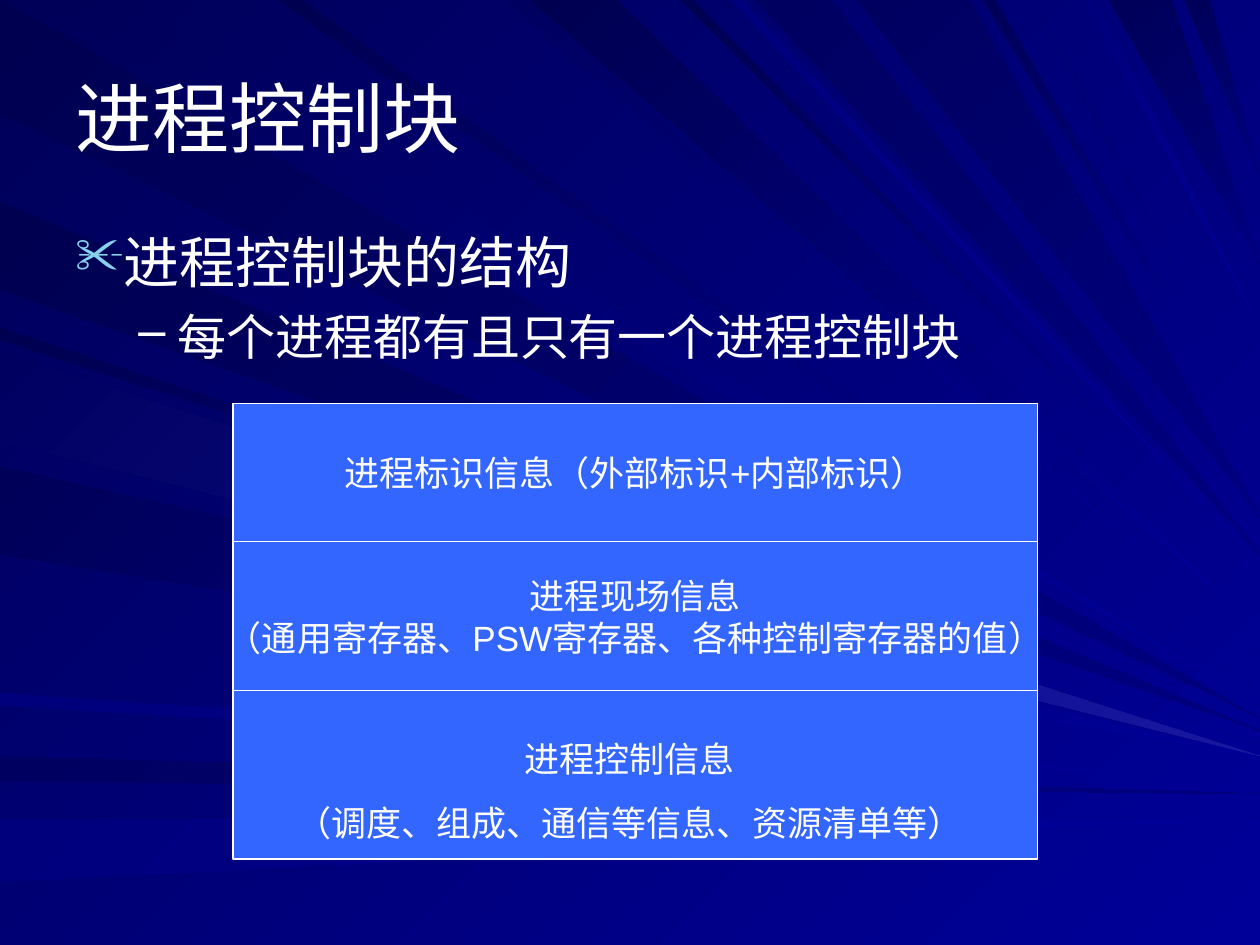
from lxml import etree
from pptx import Presentation, util as u
from pptx.dml.color import RGBColor
from pptx.enum import shapes, text
from pptx.oxml.ns import qn

FONT = "Arial"
COLOURS = {"white": "FFFFFF", "panel": "3366FF", "bullet": "86D1EC",
           "dark": "000058", "blue": "000099", "night": "000051",
           "dusk": "000061", "haze": "00007D", "navy": "000080", "glow": "1717A2"}
INSETS = {"margin_left": u.Cm(0.25), "margin_right": u.Cm(0.25),
          "margin_top": u.Cm(0.13), "margin_bottom": u.Cm(0.13)}

# Light rays by the page edge they leave: first colour, last colour,
# start and end on that edge, and height of the tip on the right edge,
# all in hundredths of the page width
RAYS = {
    "left": [
        ("night", "navy", 0, 9, 57), ("dusk", "navy", 60, 62, 63),
        ("haze", "blue", 65, 70, 65), ("night", "blue", 26, 27, 59),
        ("night", "navy", 16, 23, 58.5), ("dusk", "blue", 28, 34, 60),
        ("dark", "blue", 37, 44, 60.5), ("haze", "blue", 55, 56, 62),
        ("dusk", "glow", 28, 35, 60.5),
    ],
    "top": [
        ("dark", "blue", 3, 10, 56), ("night", "blue", 22.5, 24.5, 55),
        ("dusk", "blue", 40, 41.5, 52), ("night", "blue", 42.5, 49, 49.5),
        ("night", "blue", 54, 55, 46), ("haze", "blue", 58, 59, 45),
        ("dusk", "navy", 60.5, 66, 44.5), ("dusk", "navy", 68.5, 77, 41),
        ("dark", "blue", 78.5, 79, 36), ("dusk", "blue", 81.5, 82.5, 33.5),
        ("haze", "blue", 86.5, 87, 25.5), ("dark", "navy", 88.5, 93, 21),
        ("dark", "navy", 94, 96.5, 14),
    ],
}


def rgb(name):
    return RGBColor.from_string(COLOURS[name])


def set_all(target, values):
    for name, value in values.items():
        setattr(target, name, value)


def paint(fill, first, last):
    """Fill with a gradient that runs from upper left to lower right."""
    fill.gradient()
    fill.gradient_angle = 315
    for stop, colour in zip(fill.gradient_stops, (first, last)):
        stop.color.rgb = rgb(colour)


def add_span(para, words, size):
    span = para.add_run()
    span.text = words
    set_all(span.font, {"name": FONT, "size": u.Pt(size)})
    span.font.color.rgb = rgb("white")


def add_bullet(para, mark, colour, percent, left, hanging):
    props = para._p.get_or_add_pPr()
    props.set("marL", str(left))
    props.set("indent", str(-hanging))
    tint = etree.SubElement(props, qn("a:buClr"))
    etree.SubElement(tint, qn("a:srgbClr"), val=COLOURS[colour])
    etree.SubElement(props, qn("a:buSzPct"), val=str(percent * 1000))
    etree.SubElement(props, qn("a:buChar"), char=mark)


def add_text_box(page, box, anchor=text.MSO_ANCHOR.TOP):
    frame = page.shapes.add_textbox(*box).text_frame
    set_all(frame, {"word_wrap": True, "vertical_anchor": anchor, **INSETS})
    return frame


def add_centred_lines(frame, lines, gap=0):
    for index, words in enumerate(lines):
        para = frame.paragraphs[0] if index == 0 else frame.add_paragraph()
        para.alignment = text.PP_ALIGN.CENTER
        if index and gap:
            para.space_before = u.Pt(gap)
        add_span(para, words, 20)


def add_backdrop(page, box):
    left, top, width, _ = box
    paint(page.background.fill, "dark", "blue")
    group = page.shapes.add_group_shape()
    for edge, rays in RAYS.items():
        for first, last, start, end, tip in rays:
            base = [(0, start), (0, end)] if edge == "left" else [(start, 0), (end, 0)]
            outline = group.shapes.build_freeform(*base[0], scale=width / 100)
            outline.add_line_segments([base[1], (100, tip)], close=True)
            ray = outline.convert_to_shape(left, top)
            ray.shadow.inherit = False
            ray.line.fill.background()
            paint(ray.fill, first, last)


def add_title(page, box):
    frame = add_text_box(page, box, text.MSO_ANCHOR.MIDDLE)
    add_span(frame.paragraphs[0], "进程控制块", 44)


def add_points(page, box):
    frame = add_text_box(page, box)
    point = frame.paragraphs[0]
    add_bullet(point, "✂", "bullet", 90, u.Cm(0.95), u.Cm(0.95))
    add_span(point, "进程控制块的结构", 32)
    detail = frame.add_paragraph()
    detail.level = 1
    add_bullet(detail, "–", "white", 100, u.Cm(2.06), u.Cm(0.79))
    detail.space_before = u.Pt(7)
    add_span(detail, "每个进程都有且只有一个进程控制块", 28)


def add_panel(page, box, lines=()):
    panel = page.shapes.add_shape(shapes.MSO_SHAPE.RECTANGLE, *box)
    panel.shadow.inherit = False
    panel.fill.solid()
    panel.fill.fore_color.rgb = rgb("panel")
    panel.line.color.rgb = rgb("white")
    panel.line.width = u.Pt(0.75)
    set_all(panel.text_frame, {"word_wrap": False,
                               "vertical_anchor": text.MSO_ANCHOR.MIDDLE, **INSETS})
    add_centred_lines(panel.text_frame, lines)


def add_control_block(page, box):
    """Stack the identity and context panels on one frame, control text below."""
    left, top, width, _ = box
    add_panel(page, box)
    sections = [
        (u.Cm(2.79), ["进程标识信息（外部标识+内部标识）"]),
        (u.Cm(3), ["进程现场信息", "（通用寄存器、PSW寄存器、各种控制寄存器的值）"]),
    ]
    for height, lines in sections:
        add_panel(page, (left, top, width, height), lines)
        top += height
    control = add_text_box(page, (left + u.Cm(0.99), top + u.Cm(0.81), u.Cm(14), u.Cm(2.39)))
    add_centred_lines(control, ["进程控制信息", "（调度、组成、通信等信息、资源清单等）"], 12.5)


def main():
    deck = Presentation()
    set_all(deck, {"slide_width": u.Cm(25.4), "slide_height": u.Cm(19.05)})
    page = deck.slides.add_slide(deck.slide_layouts[6])
    add_backdrop(page, (0, 0, deck.slide_width, deck.slide_height))
    add_title(page, (u.Cm(1.27), u.Cm(0.76), u.Cm(22.86), u.Cm(3.18)))
    add_points(page, (u.Cm(1.27), u.Cm(4.45), u.Cm(22.86), u.Cm(12.57)))
    add_control_block(page, (u.Cm(4.7), u.Cm(8.13), u.Cm(16.21), u.Cm(9.19)))
    deck.save("out.pptx")


if __name__ == "__main__":
    main()
